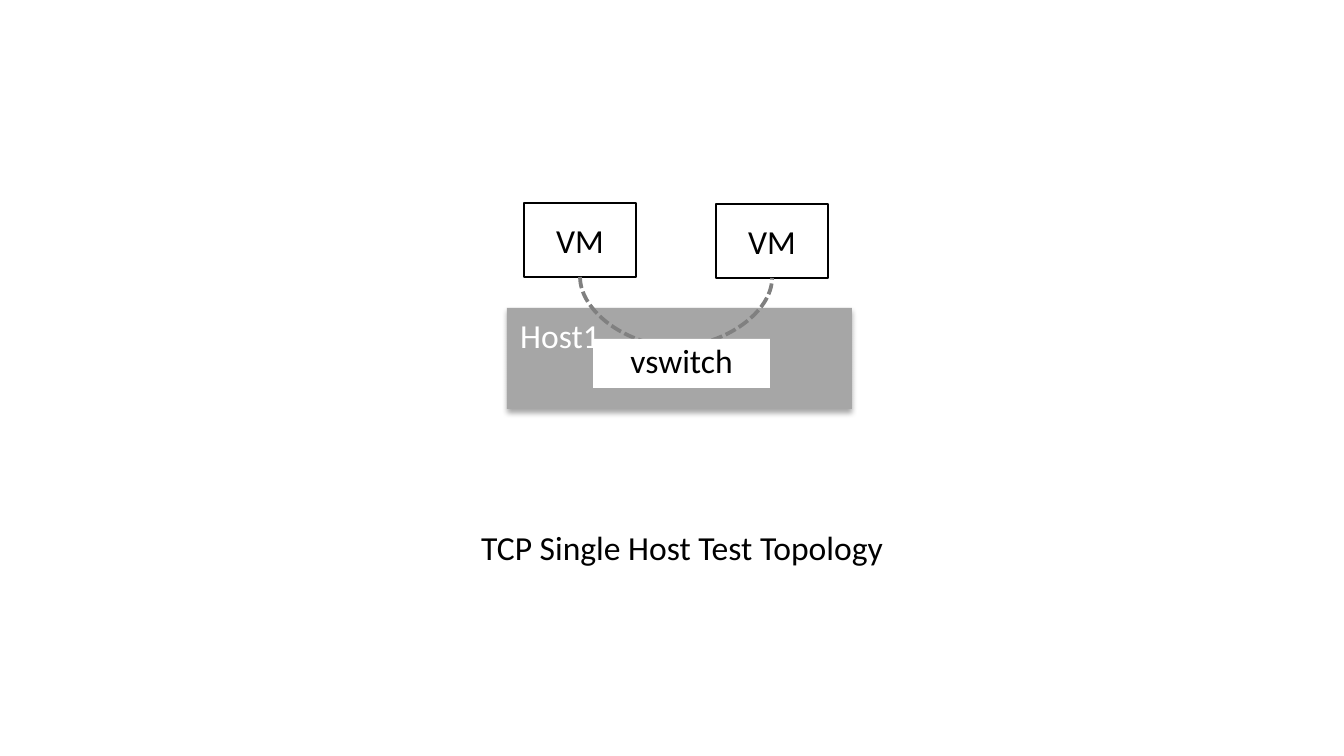
from dataclasses import dataclass

from lxml.etree import SubElement
from pptx import Presentation
from pptx.dml.color import RGBColor
from pptx.enum.dml import MSO_LINE
from pptx.enum.shapes import MSO_CONNECTOR, MSO_SHAPE
from pptx.enum.text import MSO_ANCHOR, MSO_AUTO_SIZE, PP_ALIGN
from pptx.oxml.ns import qn
from pptx.util import Pt

SCALE = 9144000 / 1344


@dataclass(frozen=True)
class Theme:
    """Colours, font and type size of the slide."""
    black: RGBColor = RGBColor(0, 0, 0)
    white: RGBColor = RGBColor(255, 255, 255)
    host: RGBColor = RGBColor(0xA6, 0xA6, 0xA6)
    link: RGBColor = RGBColor(0x80, 0x80, 0x80)
    font: str = "Calibri"
    size: int = 18


THEME = Theme()


def px(n):
    """Turn pixels into EMU."""
    return round(n * SCALE)


def write(sp, text, color, align, anchor):
    """Set and format the text of a shape."""
    tf = sp.text_frame
    tf.text = text
    tf.vertical_anchor = anchor
    p = tf.paragraphs[0]
    p.alignment = align
    font = p.runs[0].font
    font.name, font.size, font.color.rgb = THEME.font, Pt(THEME.size), color
    return tf


def add_box(s, box, text, fill=None, line=None, color=THEME.black,
            align=PP_ALIGN.CENTER, anchor=MSO_ANCHOR.MIDDLE):
    """Add a labelled rectangle."""
    sp = s.shapes.add_shape(MSO_SHAPE.RECTANGLE, *map(px, box))
    sp.shadow.inherit = False
    if fill is None:
        sp.fill.background()
    else:
        sp.fill.solid()
        sp.fill.fore_color.rgb = fill
    if line is None:
        sp.line.fill.background()
    else:
        sp.line.color.rgb = line
        sp.line.width = Pt(0.75)
    write(sp, text, color, align, anchor)
    return sp


def add_shadow(sp):
    """Give a shape a soft shadow below it."""
    effects = sp._element.spPr.find(qn("a:effectLst"))
    shadow = SubElement(effects, qn("a:outerShdw"), blurRad=str(Pt(3.1)),
                        dist=str(Pt(1.8)), dir="5400000", rotWithShape="0")
    color = SubElement(shadow, qn("a:srgbClr"), val=str(THEME.black))
    SubElement(color, qn("a:alpha"), val="35000")


def add_link(s, start, end, depth):
    """Join the bottoms of two boxes with a dashed curve of the given depth."""
    cx = s.shapes.add_connector(MSO_CONNECTOR.CURVE, 0, 0, 0, 0)
    cx.begin_connect(start, 2)
    cx.end_connect(end, 2)
    span, drop = cx.width, cx.height
    mid_x, mid_y = cx.left + span // 2, cx.top + drop // 2
    cx.left, cx.top = mid_x - drop // 2, mid_y - span // 2
    cx.width, cx.height = drop, span
    spPr = cx._element.spPr
    xfrm = spPr.find(qn("a:xfrm"))
    xfrm.set("rot", "16200000")
    xfrm.set("flipH", "1")
    guides = spPr.find(qn("a:prstGeom")).find(qn("a:avLst"))
    bend = round(px(depth) / drop * 100000)
    SubElement(guides, qn("a:gd"), name="adj1", fmla=f"val {bend}")
    cx.line.color.rgb = THEME.link
    cx.line.width = Pt(2)
    cx.line.dash_style = MSO_LINE.SQUARE_DOT
    SubElement(spPr, qn("a:effectLst"))


def add_topology(s, x, y):
    """Place the host, its two machines, their link and the switch."""
    host = add_box(s, (x, y + 105, 345, 101), "Host1", fill=THEME.host,
                   color=THEME.white, align=PP_ALIGN.LEFT,
                   anchor=MSO_ANCHOR.TOP)
    add_shadow(host)
    vms = [add_box(s, (x + 17 + 192 * i, y + i, 112, 74), "VM",
                   line=THEME.black) for i in range(2)]
    add_link(s, *vms, depth=69)
    switch = add_box(s, (x + 86, y + 136, 177, 49), "vswitch",
                     fill=THEME.white)
    switch.text_frame.margin_top = 0


def add_caption(s, x, y, w, h):
    """Place the caption below the diagram."""
    sp = s.shapes.add_textbox(*map(px, (x, y, w, h)))
    tf = write(sp, "TCP Single Host Test Topology", THEME.black,
               PP_ALIGN.LEFT, MSO_ANCHOR.TOP)
    tf.word_wrap = False
    tf.auto_size = MSO_AUTO_SIZE.SHAPE_TO_FIT_TEXT


def main():
    """Build and save the slide."""
    prs = Presentation()
    prs.slide_width, prs.slide_height = px(1344), px(756)
    s = prs.slides.add_slide(prs.slide_layouts[6])
    add_topology(s, 507, 203)
    add_caption(s, 468, 520, 441, 54)
    prs.save("out.pptx")


if __name__ == "__main__":
    main()
